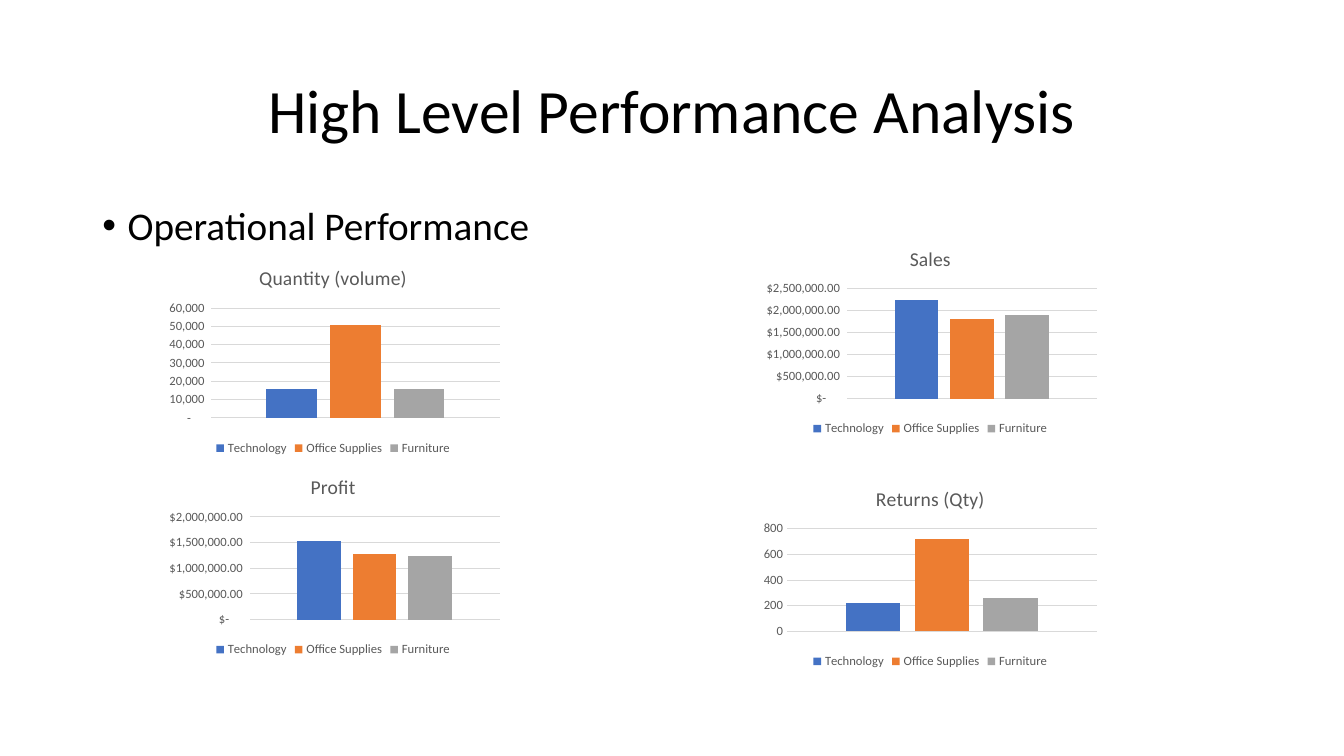
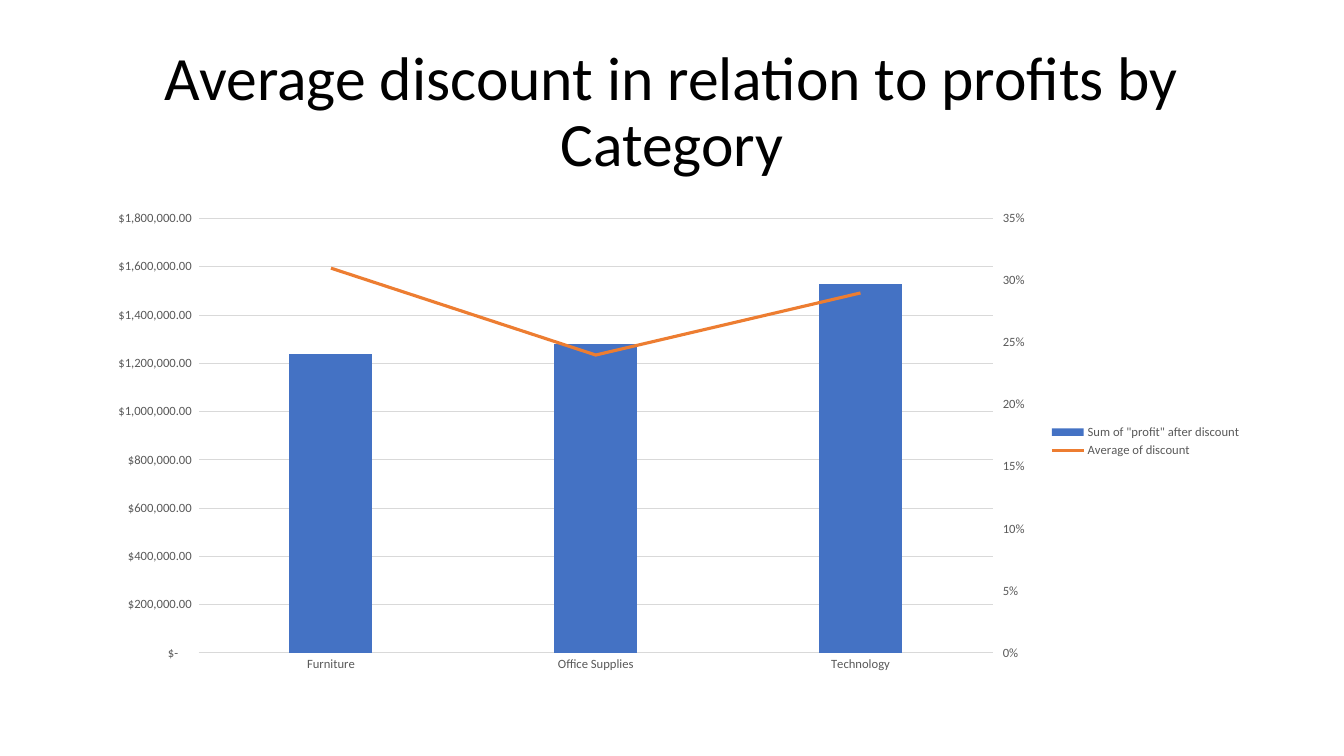
from dataclasses import dataclass

import pptx
import pptx.chart.axis
import pptx.chart.chart
import pptx.chart.data
import pptx.dml.color
import pptx.enum.chart
import pptx.enum.text
import pptx.oxml
import pptx.oxml.ns
import pptx.presentation
import pptx.shapes.base
import pptx.slide
import pptx.text.text
import pptx.util

# The slide is a grid of 160 columns by 90 rows of square cells.
COLUMNS, ROWS = 160, 90
CELL = pptx.util.Inches(1) // 12

FONT = "Calibri"
COLORS = {
    "text": "000000",
    "muted": "595959",
    "grid": "D9D9D9",
    "blue": "4472C4",
    "orange": "ED7D31",
    "gray": "A5A5A5",
}
CATEGORY_COLORS = {"Technology": "blue", "Office Supplies": "orange", "Furniture": "gray"}

DOLLARS = '_("$"* #,##0.00_);_("$"* \\(#,##0.00\\);_("$"* "-"??_);_(@_)'
UNITS = '_-* #,##0_-;\\-* #,##0_-;_-* "-"??_-;_-@_-'
TITLE_LAYOUT, BODY_LAYOUT = 5, 1


@dataclass(frozen=True)
class Area:
    """A rectangle in grid cells."""

    column: float
    row: float
    width: float
    height: float

    def lengths(self) -> tuple[int, ...]:
        return tuple(round(cells * CELL) for cells in (self.column, self.row, self.width, self.height))


@dataclass(frozen=True)
class Metric:
    """A small chart that compares the product categories."""

    title: str
    area: Area
    values: tuple[float, ...]
    number_format: str


TITLE_AREA = Area(11, 4.8, 138, 17.4)
CONTENT_AREA = Area(11, 24, 138, 57.1)
LEFT, RIGHT = 19, 90.1
METRIC_WIDTH, TOP_HEIGHT, BOTTOM_HEIGHT = 41.3, 24.8, 23.9

METRICS = (
    Metric("Quantity (volume)", Area(LEFT, 29.9, METRIC_WIDTH, TOP_HEIGHT), (16000, 51000, 16000), UNITS),
    Metric("Sales", Area(RIGHT, 27.6, METRIC_WIDTH, TOP_HEIGHT), (2240000, 1820000, 1900000), DOLLARS),
    Metric("Profit", Area(LEFT, 54.8, METRIC_WIDTH, BOTTOM_HEIGHT), (1530000, 1280000, 1240000), DOLLARS),
    Metric("Returns (Qty)", Area(RIGHT, 56.2, METRIC_WIDTH, BOTTOM_HEIGHT), (220, 720, 260), "General"),
)


def color(name: str) -> pptx.dml.color.RGBColor:
    return pptx.dml.color.RGBColor.from_string(COLORS[name])


def set_font(font: pptx.text.text.Font, size: float, color_name: str) -> None:
    font.name = FONT
    font.size = pptx.util.Pt(size)
    font.bold = False
    font.color.rgb = color(color_name)


def place(shape: pptx.shapes.base.BaseShape, area: Area) -> None:
    shape.left, shape.top, shape.width, shape.height = area.lengths()


def fill_placeholder(
    shape: pptx.shapes.base.BaseShape, area: Area, text: str, size: float
) -> pptx.text.text._Paragraph:
    place(shape, area)
    shape.text_frame.text = text
    shape.text_frame.auto_size = pptx.enum.text.MSO_AUTO_SIZE.NONE
    paragraph = shape.text_frame.paragraphs[0]
    paragraph.line_spacing = 0.9
    set_font(paragraph.font, size, "text")
    return paragraph


def add_slide(
    presentation: pptx.presentation.Presentation, layout: int, title: str
) -> pptx.slide.Slide:
    slide = presentation.slides.add_slide(presentation.slide_layouts[layout])
    paragraph = fill_placeholder(slide.shapes.title, TITLE_AREA, title, 44)
    paragraph.alignment = pptx.enum.text.PP_ALIGN.CENTER
    slide.shapes.title.text_frame.vertical_anchor = pptx.enum.text.MSO_ANCHOR.MIDDLE
    return slide


def style_axis(axis: pptx.chart.axis._BaseAxis) -> None:
    axis.major_tick_mark = pptx.enum.chart.XL_TICK_MARK.NONE
    set_font(axis.tick_labels.font, 9, "muted")


def add_column_chart(
    slide: pptx.slide.Slide,
    area: Area,
    data: pptx.chart.data.CategoryChartData,
    number_format: str,
    series_colors: tuple[str, ...],
    legend_position: pptx.enum.chart.XL_LEGEND_POSITION,
) -> pptx.chart.chart.Chart:
    frame = slide.shapes.add_chart(
        pptx.enum.chart.XL_CHART_TYPE.COLUMN_CLUSTERED, *area.lengths(), data
    )
    chart = frame.chart
    set_font(chart.font, 10, "text")
    chart.has_title = False
    chart.has_legend = True
    chart.legend.position = legend_position
    chart.legend.include_in_layout = False
    set_font(chart.legend.font, 9, "muted")

    plot = chart.plots[0]
    plot.gap_width = 219
    plot.overlap = -27
    plot.vary_by_categories = False
    for series, name in zip(plot.series, series_colors):
        series.format.fill.solid()
        series.format.fill.fore_color.rgb = color(name)

    values = chart.value_axis
    style_axis(values)
    values.tick_labels.number_format = number_format
    values.tick_labels.number_format_is_linked = False
    values.format.line.fill.background()
    style_axis(chart.category_axis)
    for line in (values.major_gridlines.format.line, chart.category_axis.format.line):
        line.color.rgb = color("grid")
        line.width = pptx.util.Pt(0.75)
    return chart


def add_metric(slide: pptx.slide.Slide, metric: Metric) -> None:
    data = pptx.chart.data.CategoryChartData()
    data.categories = ["1"]
    for name, value in zip(CATEGORY_COLORS, metric.values):
        data.add_series(name, [value])
    chart = add_column_chart(
        slide, metric.area, data, metric.number_format,
        tuple(CATEGORY_COLORS.values()), pptx.enum.chart.XL_LEGEND_POSITION.BOTTOM,
    )
    chart.category_axis.visible = False
    chart.has_title = True
    chart.chart_title.include_in_layout = False
    chart.chart_title.text_frame.text = metric.title
    set_font(chart.chart_title.text_frame.paragraphs[0].font, 14, "muted")


def move_last_series_to_right_axis(chart: pptx.chart.chart.Chart, color_name: str) -> None:
    """Turn the last column series into a line on a percentage axis at the right."""
    namespaces = pptx.oxml.ns.nsdecls("c", "a")
    bar_chart = chart.plots[0]._element
    plot_area = bar_chart.getparent()
    series = bar_chart.findall(pptx.oxml.ns.qn("c:ser"))[-1]
    for bar_setting in series.findall(pptx.oxml.ns.qn("c:invertIfNegative")):
        series.remove(bar_setting)

    line_chart = pptx.oxml.parse_xml(
        f'<c:lineChart {namespaces}><c:grouping val="standard"/><c:varyColors val="0"/>'
        '<c:marker val="1"/><c:axId val="5001"/><c:axId val="5002"/></c:lineChart>'
    )
    line_chart.insert(2, series)
    bar_chart.addnext(line_chart)

    plot_area.findall(pptx.oxml.ns.qn("c:valAx"))[-1].addnext(pptx.oxml.parse_xml(
        f'<c:valAx {namespaces}><c:axId val="5002"/>'
        '<c:scaling><c:orientation val="minMax"/></c:scaling><c:delete val="0"/>'
        '<c:axPos val="r"/><c:numFmt formatCode="0%" sourceLinked="0"/>'
        '<c:majorTickMark val="out"/><c:minorTickMark val="none"/><c:tickLblPos val="nextTo"/>'
        '<c:spPr><a:ln><a:noFill/></a:ln></c:spPr>'
        '<c:txPr><a:bodyPr/><a:p><a:pPr><a:defRPr sz="900" b="0"><a:solidFill>'
        f'<a:srgbClr val="{COLORS["muted"]}"/></a:solidFill><a:latin typeface="{FONT}"/>'
        '</a:defRPr></a:pPr><a:endParaRPr lang="en-US"/></a:p></c:txPr>'
        '<c:crossAx val="5001"/><c:crosses val="max"/></c:valAx>'
    ))
    plot_area.findall(pptx.oxml.ns.qn("c:valAx"))[-1].addnext(pptx.oxml.parse_xml(
        f'<c:catAx {namespaces}><c:axId val="5001"/>'
        '<c:scaling><c:orientation val="minMax"/></c:scaling><c:delete val="1"/>'
        '<c:axPos val="b"/><c:majorTickMark val="none"/><c:minorTickMark val="none"/>'
        '<c:tickLblPos val="nextTo"/><c:crossAx val="5002"/><c:crosses val="autoZero"/></c:catAx>'
    ))

    line_series = chart.plots[1].series[0]
    line_series.smooth = False
    line_series.marker.style = pptx.enum.chart.XL_MARKER_STYLE.NONE
    line_series.format.fill.background()
    line_series.format.line.color.rgb = color(color_name)
    line_series.format.line.width = pptx.util.Pt(2.25)


def add_performance_slide(presentation: pptx.presentation.Presentation) -> None:
    slide = add_slide(presentation, BODY_LAYOUT, "High Level Performance Analysis")
    paragraph = fill_placeholder(
        slide.placeholders[1], CONTENT_AREA, "Operational Performance", 28
    )
    paragraph.space_before = pptx.util.Pt(10)
    properties = paragraph._p.get_or_add_pPr()
    indent = pptx.util.Inches(0.25)
    properties.set("marL", str(int(indent)))
    properties.set("indent", str(-indent))
    for metric in METRICS:
        add_metric(slide, metric)


def add_discount_slide(presentation: pptx.presentation.Presentation) -> None:
    slide = add_slide(
        presentation, TITLE_LAYOUT, "Average discount in relation to profits by Category"
    )
    data = pptx.chart.data.CategoryChartData()
    data.categories = ["Furniture", "Office Supplies", "Technology"]
    data.add_series('Sum of "profit" after discount', (1240000, 1280000, 1530000))
    data.add_series("Average of discount", (0.31, 0.24, 0.29), "0%")
    chart = add_column_chart(
        slide, CONTENT_AREA, data, DOLLARS,
        ("blue", "orange"), pptx.enum.chart.XL_LEGEND_POSITION.RIGHT,
    )
    move_last_series_to_right_axis(chart, "orange")


def main() -> None:
    presentation = pptx.Presentation()
    presentation.slide_width = COLUMNS * CELL
    presentation.slide_height = ROWS * CELL
    add_performance_slide(presentation)
    add_discount_slide(presentation)
    presentation.save("out.pptx")


if __name__ == "__main__":
    main()
